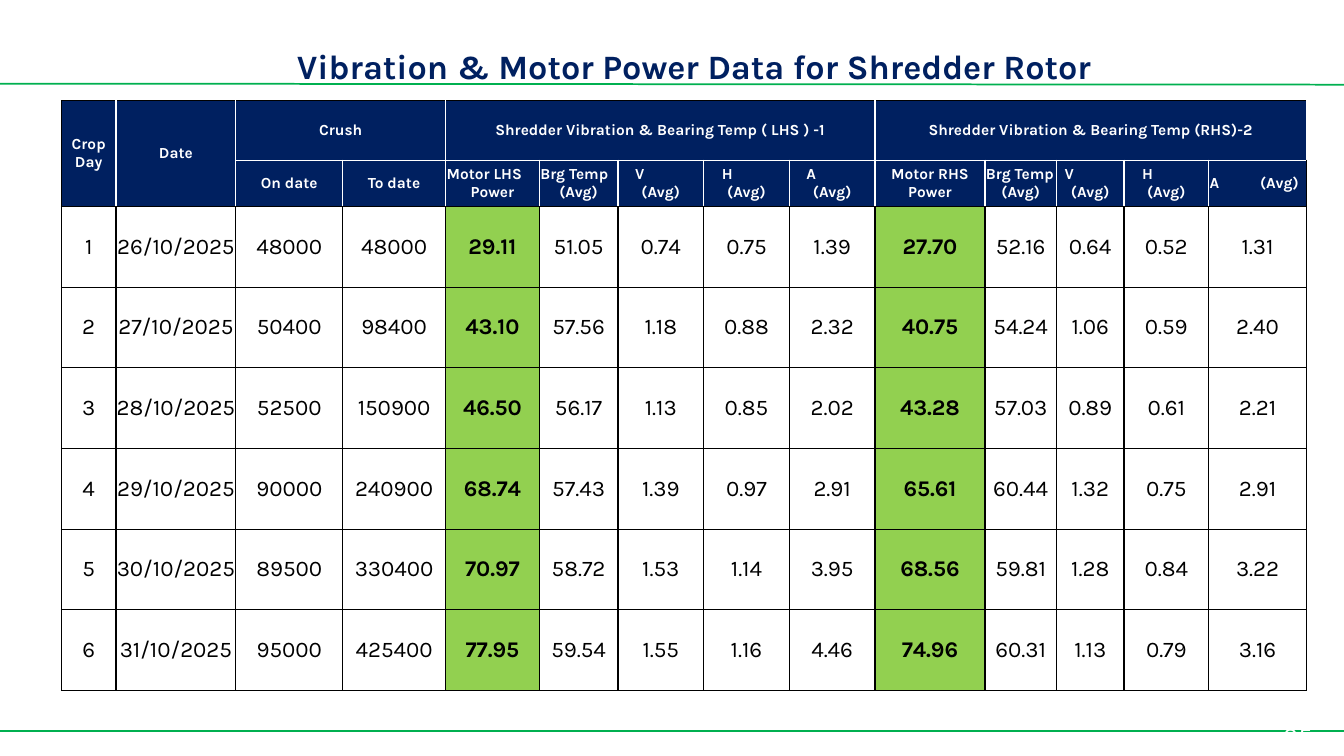
from pptx import Presentation
from pptx.dml.color import RGBColor
from pptx.enum.text import MSO_ANCHOR, PP_ALIGN
from pptx.oxml.ns import qn
from pptx.util import Emu, Inches, Pt
from lxml.etree import SubElement

# Content
TITLE = "Vibration & Motor Power Data for Shredder Rotor"
PAGE_NUMBER = "35"
# (row, column, row span, column span, text)
GROUPS = [
    (0, 0, 2, 1, "Crop Day"),
    (0, 1, 2, 1, "Date"),
    (0, 2, 1, 2, "Crush"),
    (0, 4, 1, 5, "Shredder Vibration & Bearing Temp ( LHS ) -1"),
    (0, 9, 1, 5, "Shredder Vibration & Bearing Temp (RHS)-2"),
]
# Sub-headings from the third column on: (first line, its indent or None if centred, second line)
SUBHEADS = [
    ("On date", None, ""), ("To date", None, ""),
    ("Motor LHS", 0.01, "Power"), ("Brg Temp", 0.01, "(Avg)"),
    ("V", 0.17, "(Avg)"), ("H", 0.18, "(Avg)"), ("A", 0.17, "(Avg)"),
    ("Motor RHS", None, "Power"), ("Brg Temp", 0.01, "(Avg)"),
    ("V", 0.08, "(Avg)"), ("H", 0.18, "(Avg)"), ("A\t(Avg)", 0.01, ""),
]
READINGS = [
    ("1", "26/10/2025", "48000", "48000", "29.11", "51.05", "0.74", "0.75", "1.39",
     "27.70", "52.16", "0.64", "0.52", "1.31"),
    ("2", "27/10/2025", "50400", "98400", "43.10", "57.56", "1.18", "0.88", "2.32",
     "40.75", "54.24", "1.06", "0.59", "2.40"),
    ("3", "28/10/2025", "52500", "150900", "46.50", "56.17", "1.13", "0.85", "2.02",
     "43.28", "57.03", "0.89", "0.61", "2.21"),
    ("4", "29/10/2025", "90000", "240900", "68.74", "57.43", "1.39", "0.97", "2.91",
     "65.61", "60.44", "1.32", "0.75", "2.91"),
    ("5", "30/10/2025", "89500", "330400", "70.97", "58.72", "1.53", "1.14", "3.95",
     "68.56", "59.81", "1.28", "0.84", "3.22"),
    ("6", "31/10/2025", "95000", "425400", "77.95", "59.54", "1.55", "1.16", "4.46",
     "74.96", "60.31", "1.13", "0.79", "3.16"),
]

# Layout and style
FONT = "Karla"
NAVY, GREEN, LIME, WHITE, BLACK = "002060", "00B050", "92D050", "FFFFFF", "000000"
COLUMN_WIDTHS = [0.54, 1.19, 1.06, 1.02, 0.93, 0.78, 0.85, 0.85, 0.85, 1.09, 0.71, 0.67, 0.84, 0.97]
ROW_HEIGHTS = [0.59, 0.46] + [0.8] * len(READINGS)
POWER_COLUMNS = (4, 9)
LAST_COLUMN = len(COLUMN_WIDTHS) - 1
NO_STYLE = "{2D5ABB26-0587-4C30-8999-92F81FD0307C}"


def color(value):
    return RGBColor.from_string(value)


def add_run(paragraph, text, size, text_color, bold=False):
    run = paragraph.add_run()
    run.text = text
    run.font.name, run.font.size, run.font.bold = FONT, Pt(size), bold
    run.font.color.rgb = color(text_color)


def add_rule(slide, width, start, end):
    rule = slide.shapes.add_connector(1, 0, Inches(start), width, Inches(end))
    rule.line.color.rgb, rule.line.width = color(GREEN), Pt(1.25)
    SubElement(rule._element.spPr, qn("a:effectLst"))


def cell_edges(row, column, spanned):
    """Border colours by side; the inside of a merged cell gets none."""
    header = row < 2
    edges = {
        "L": WHITE if header and column else BLACK,
        "R": WHITE if header and column < LAST_COLUMN else BLACK,
        "T": WHITE if row == 1 else BLACK,
        "B": WHITE if row == 0 and column > 1 else BLACK,
    }
    if spanned:
        kept = "TB" if row == 0 else "LRB"
        edges = {side: edges[side] for side in edges if side in kept}
    return edges


def format_cell(cell, row, column):
    cell.margin_left = cell.margin_right = cell.margin_top = cell.margin_bottom = 0
    cell.vertical_anchor = MSO_ANCHOR.MIDDLE
    properties = cell._tc.get_or_add_tcPr()
    for side, edge_color in cell_edges(row, column, cell.is_spanned).items():
        line = SubElement(properties, qn(f"a:ln{side}"), w=str(Pt(1)))
        SubElement(SubElement(line, qn("a:solidFill")), qn("a:srgbClr"), val=edge_color)
    if row < 2 or column in POWER_COLUMNS:
        cell.fill.solid()
        cell.fill.fore_color.rgb = color(NAVY if row < 2 else LIME)
    else:
        cell.fill.background()


def write_cell(cell, text, size=11, text_color=WHITE, bold=True):
    paragraph = cell.text_frame.paragraphs[0]
    paragraph.alignment = PP_ALIGN.CENTER
    add_run(paragraph, text, size, text_color, bold)
    return paragraph


def write_subhead(cell, first, indent, second, width):
    paragraph = write_cell(cell, first)
    if indent is not None:
        paragraph.alignment = PP_ALIGN.LEFT
        properties = paragraph._p.get_or_add_pPr()
        properties.set("marL", str(Inches(indent)))
        properties.set("indent", "0")
        if "\t" in first:
            tabs = SubElement(properties, qn("a:tabLst"))
            SubElement(tabs, qn("a:tab"), pos=str(Inches(width - 0.02)), algn="r")
    if second:
        paragraph = cell.text_frame.add_paragraph()
        paragraph.alignment = PP_ALIGN.CENTER
        add_run(paragraph, second, 11, WHITE, True)


def add_readings_table(slide):
    frame = slide.shapes.add_table(
        len(ROW_HEIGHTS), len(COLUMN_WIDTHS), Inches(0.61), Inches(1),
        Inches(sum(COLUMN_WIDTHS)), Inches(sum(ROW_HEIGHTS)))
    table = frame.table
    table.horz_banding = table.first_row = False
    table._tbl.tblPr.find(qn("a:tableStyleId")).text = NO_STYLE
    for column, width in zip(table.columns, COLUMN_WIDTHS):
        column.width = Inches(width)
    for row, height in zip(table.rows, ROW_HEIGHTS):
        row.height = Inches(height)

    # Headings
    for row, column, rows, columns, text in GROUPS:
        cell = table.cell(row, column)
        cell.merge(table.cell(row + rows - 1, column + columns - 1))
        write_cell(cell, text)
    for column, subhead in enumerate(SUBHEADS, 2):
        write_subhead(table.cell(1, column), *subhead, COLUMN_WIDTHS[column])

    # Daily readings
    for row, values in enumerate(READINGS, 2):
        for column, value in enumerate(values):
            write_cell(table.cell(row, column), value, 16, BLACK, column in POWER_COLUMNS)

    for row in range(len(ROW_HEIGHTS)):
        for column in range(len(COLUMN_WIDTHS)):
            format_cell(table.cell(row, column), row, column)


def main():
    presentation = Presentation()
    presentation.slide_width, presentation.slide_height = Inches(13.33), Inches(7.5)
    slide = presentation.slides.add_slide(presentation.slide_layouts[5])

    # Rules above and below the table
    width = Emu(presentation.slide_width)
    add_rule(slide, width, 0.83, 0.84)
    add_rule(slide, width, 7.25, 7.25)

    # Page number
    number = slide.shapes.add_textbox(Inches(12.63), Inches(7.1), Inches(0.67), Inches(0.4))
    number.text_frame.word_wrap = True
    add_run(number.text_frame.paragraphs[0], PAGE_NUMBER, 18, WHITE)

    # Title
    title = slide.shapes.title
    title.left, title.top, title.width, title.height = map(Inches, (2.09, 0.38, 9.58, 0.54))
    title.text_frame.vertical_anchor = MSO_ANCHOR.MIDDLE
    paragraph = title.text_frame.paragraphs[0]
    paragraph.alignment = PP_ALIGN.CENTER
    add_run(paragraph, TITLE, 24.4, NAVY, True)

    add_readings_table(slide)
    presentation.save("out.pptx")


if __name__ == "__main__":
    main()
